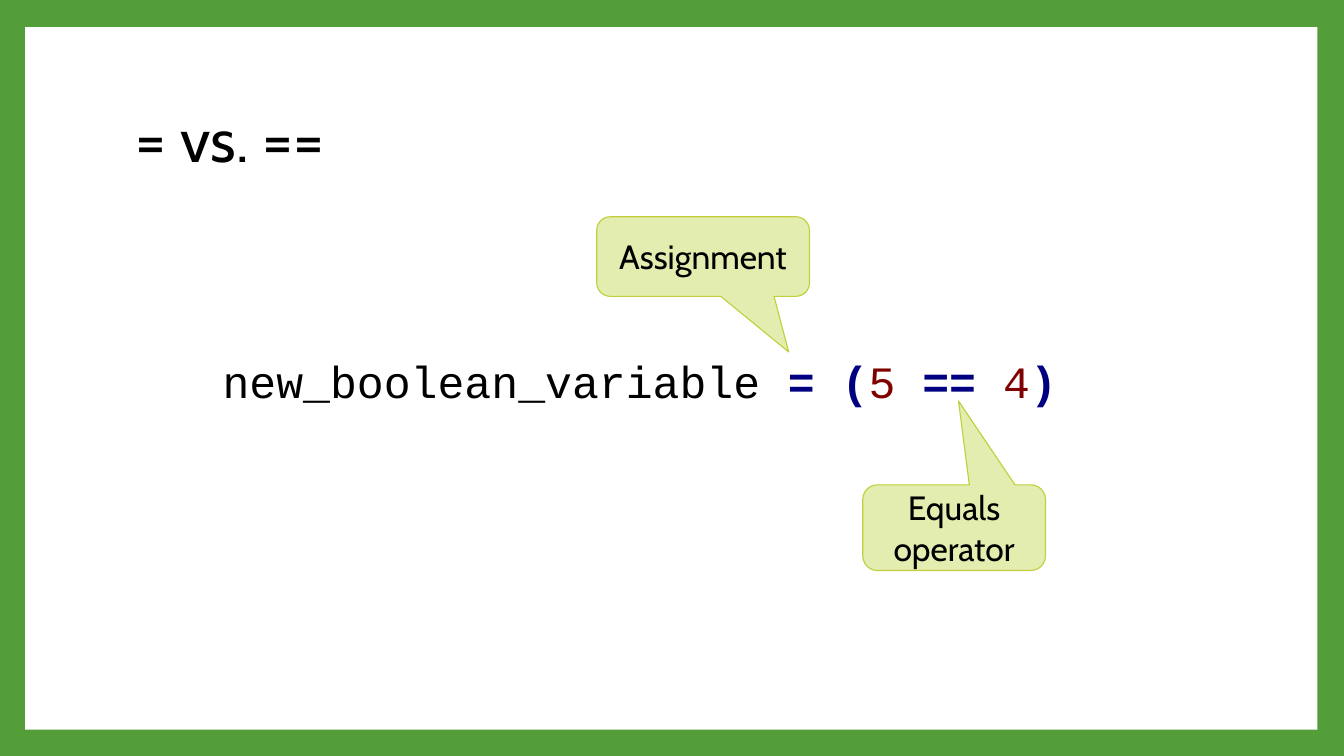
"""Build a slide contrasting the assignment and equals operators."""
import pptx
import pptx.dml.color
import pptx.enum.shapes
import pptx.enum.text
import pptx.util

Pt = pptx.util.Pt
RGBColor = pptx.dml.color.RGBColor
MSO_SHAPE = pptx.enum.shapes.MSO_SHAPE
PP_ALIGN = pptx.enum.text.PP_ALIGN
MSO_ANCHOR = pptx.enum.text.MSO_ANCHOR

GREEN = RGBColor(0x54, 0x9E, 0x39)
WHITE = RGBColor(0xFF, 0xFF, 0xFF)
BLACK = RGBColor(0x00, 0x00, 0x00)
NAVY = RGBColor(0x00, 0x00, 0x80)
MAROON = RGBColor(0x80, 0x00, 0x00)
PALE_LIME = RGBColor(0xE4, 0xED, 0xB0)
LIME = RGBColor(0xC0, 0xCF, 0x3A)

BODY_FONT = "Cabin"
CODE_FONT = "Courier New"

PANEL_BOX = (18, 19.44, 923, 501.84)
TITLE = "= vs. =="
TITLE_BOX = (90, 48.24, 777.6, 106.56)
CODE = [
    ("new_boolean_variable ", BLACK, False),
    ("=", NAVY, True),
    (" ", BLACK, False),
    ("(", NAVY, True),
    ("5", MAROON, False),
    (" ", BLACK, False),
    ("==", NAVY, True),
    (" ", BLACK, False),
    ("4", MAROON, False),
    (")", NAVY, True),
]
CODE_BOX = (151.92, 249.12, 617.04, 46.08)
CALLOUTS = [
    ("Assignment", (426.24, 154.8, 152, 56.88), (563.4, 251.4)),
    ("Equals operator", (616.32, 346.32, 130.5, 61.2), (684.7, 286.4)),
]


def add_run(p, text, font, size, color=BLACK, bold=False):
    r = p.add_run()
    r.text = text
    r.font.name = font
    r.font.size = Pt(size)
    r.font.bold = bold
    r.font.color.rgb = color


def add_text(slide, box, anchor, wrap):
    tf = slide.shapes.add_textbox(*map(Pt, box)).text_frame
    tf.word_wrap = wrap
    tf.vertical_anchor = anchor
    return tf


def add_box(slide, kind, box, fill):
    sp = slide.shapes.add_shape(kind, *map(Pt, box))
    sp.shadow.inherit = False
    sp.fill.solid()
    sp.fill.fore_color.rgb = fill
    return sp


def add_callout(slide, text, box, tip):
    left, top, width, height = box
    sp = add_box(slide, MSO_SHAPE.ROUNDED_RECTANGULAR_CALLOUT, box, PALE_LIME)
    sp.adjustments[0] = (tip[0] - left) / width - 0.5
    sp.adjustments[1] = (tip[1] - top) / height - 0.5
    sp.adjustments[2] = 0.17
    sp.line.color.rgb = LIME
    sp.line.width = Pt(0.79)
    tf = sp.text_frame
    tf.word_wrap = True
    tf.vertical_anchor = MSO_ANCHOR.MIDDLE
    p = tf.paragraphs[0]
    p.alignment = PP_ALIGN.CENTER
    add_run(p, text, BODY_FONT, 24)


def main():
    prs = pptx.Presentation()
    prs.slide_width, prs.slide_height = Pt(960), Pt(540)
    s = prs.slides.add_slide(prs.slide_layouts[6])
    s.background.fill.solid()
    s.background.fill.fore_color.rgb = GREEN

    panel = add_box(s, MSO_SHAPE.RECTANGLE, PANEL_BOX, WHITE)
    panel.line.fill.background()

    p = add_text(s, TITLE_BOX, MSO_ANCHOR.MIDDLE, True).paragraphs[0]
    p.line_spacing = 0.9
    add_run(p, TITLE, BODY_FONT, 44)

    tf = add_text(s, CODE_BOX, MSO_ANCHOR.TOP, False)
    tf.auto_size = pptx.enum.text.MSO_AUTO_SIZE.SHAPE_TO_FIT_TEXT
    for text, color, bold in CODE:
        add_run(tf.paragraphs[0], text, CODE_FONT, 32, color, bold)

    for text, box, tip in CALLOUTS:
        add_callout(s, text, box, tip)

    prs.save("out.pptx")


if __name__ == "__main__":
    main()
